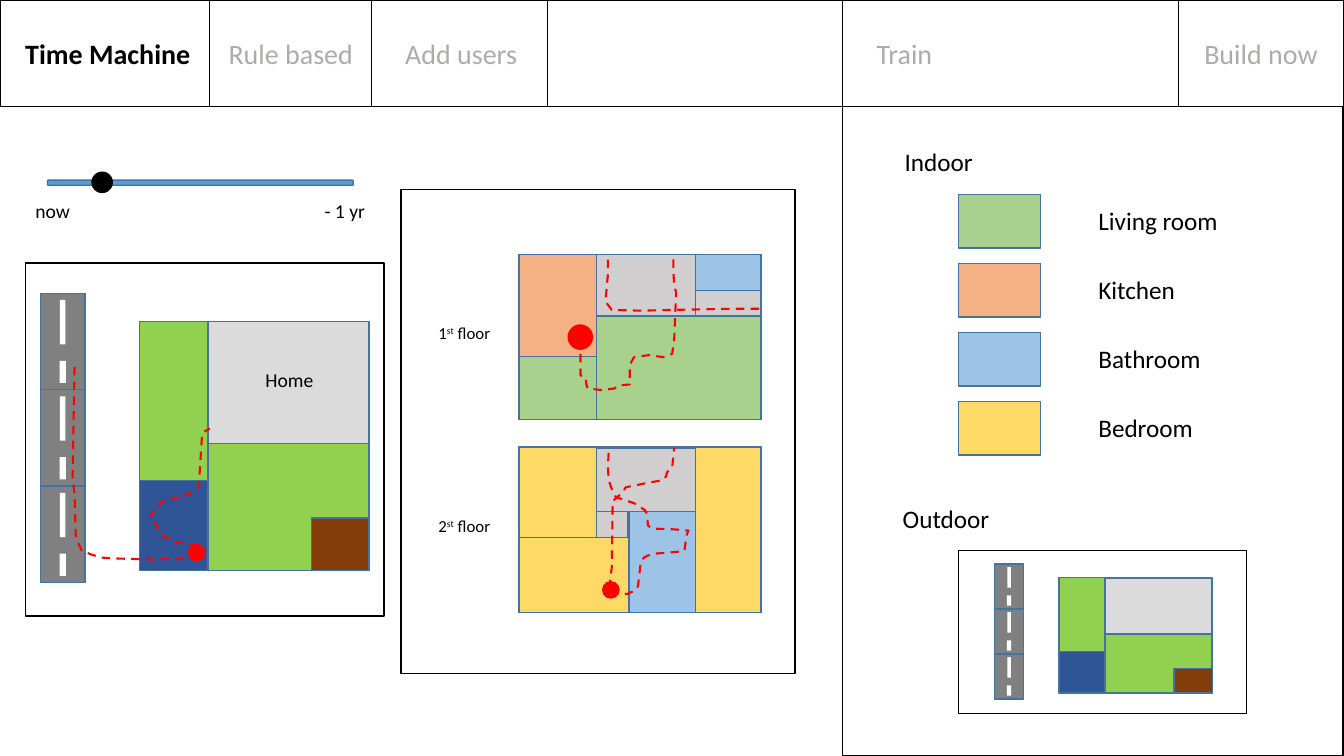
from dataclasses import dataclass

from lxml import etree
from pptx import Presentation
from pptx import util as u
from pptx.dml.color import RGBColor
from pptx.enum import dml, shapes, text
from pptx.oxml import ns

BLACK, GREY, RED, EDGE = "000000", "AFABAB", "FF0000", "43739E"
KITCHEN, LIVING, BATH, BED, HALL = "F4B183", "A9D18E", "9DC3E6", "FFD966", "D0CECE"
RECT = shapes.MSO_SHAPE.RECTANGLE
OVAL = shapes.MSO_SHAPE.OVAL
LABEL_FRAME = {"word_wrap": False, "auto_size": text.MSO_AUTO_SIZE.SHAPE_TO_FIT_TEXT,
               "vertical_anchor": text.MSO_ANCHOR.TOP}

TABS = [("Rule based", 5.51, 3.68), ("Add users", 9.96, 3.35),
        ("Train", 21.84, 1.98), ("Build now", 30.1, 3.4)]
TAB_EDGES = [5.28, 9.37, 13.79, 21.23, 29.69]
LEGEND = [("Living room", LIVING, 3.56), ("Kitchen", KITCHEN, 2.46),
          ("Bathroom", BATH, 3.12), ("Bedroom", BED, 2.92)]

FIRST_ROOMS = [(KITCHEN, 0, 0, 1.98, 2.57), (LIVING, 0, 2.57, 1.98, 1.6),
               (LIVING, 1.96, 1.55, 4.14, 2.62), (BATH, 4.45, 0, 1.65, 0.94),
               (HALL, 1.96, 0, 2.49, 1.55), (HALL, 4.45, 0.91, 1.65, 0.64)]
SECOND_ROOMS = [(HALL, 1.96, 0.03, 2.49, 1.63), (HALL, 1.93, 1.63, 0.81, 0.69),
                (BATH, 2.77, 1.63, 1.68, 2.54), (BED, 0, 0, 1.96, 2.31),
                (BED, 4.45, 0, 1.65, 4.17), (BED, 0, 2.29, 2.77, 1.88)]

OUTDOOR_WALK = [
    (1.24, 2.62), (1.19, 5.41), (1.24, 5.82), (1.27, 6.88), (1.3, 6.99), (1.42, 7.24),
    (1.65, 7.34), (1.91, 7.42), (2.16, 7.44), (3.23, 7.47), (4.29, 7.42), (4.27, 7.14),
    (4.17, 7.09), (3.81, 7.04), (3.48, 6.88), (3.38, 6.78), (3.33, 6.68), (3.28, 6.55),
    (3.18, 6.5), (3.15, 6.38), (3.38, 6.07), (3.48, 5.99), (3.71, 5.92), (3.96, 5.92),
    (4.06, 5.82), (4.17, 5.79), (4.37, 5.64), (4.45, 4.37), (4.47, 4.27), (4.65, 4.17)]
HALL_WALK = [
    (6.05, 1.37), (5.44, 1.37), (3.86, 1.4), (3.07, 1.42), (2.34, 1.4), (2.18, 1.19),
    (2.24, 0.5), (2.24, 0.03)]
LIVING_WALK = [
    (3.89, 0.13), (3.89, 0.43), (3.91, 0.76), (3.96, 0.97), (3.91, 2.18), (3.89, 2.29),
    (3.86, 2.51), (3.63, 2.59), (3.28, 2.54), (2.9, 2.59), (2.79, 2.79), (2.79, 3.28),
    (2.51, 3.3), (2.41, 3.38), (2.08, 3.42), (1.73, 3.38), (1.7, 3.28), (1.68, 3.1),
    (1.55, 3.05), (1.55, 2.41)]
UPSTAIRS_WALK = [
    (2.26, 0.15), (2.24, 0.48), (2.26, 0.84), (2.34, 1.07), (2.44, 1.27), (2.54, 1.3),
    (2.9, 1.42), (3.18, 1.6), (3.23, 1.7), (3.25, 1.98), (3.35, 2.06), (3.91, 2.08),
    (4.27, 2.11), (4.22, 2.24), (4.17, 2.62), (4.06, 2.64), (3.45, 2.69), (3.25, 2.74),
    (3.15, 2.79), (3.07, 2.9), (3.0, 3.51), (2.95, 3.61), (2.72, 3.71), (2.26, 3.68),
    (2.34, 3.02), (2.36, 1.37), (2.62, 1.14), (2.69, 1.02), (3.23, 0.91), (3.63, 0.84),
    (3.71, 0.74), (3.73, 0.64), (3.86, 0.53), (3.91, 0.03)]


@dataclass(frozen=True)
class Box:
    left: float
    top: float
    width: float
    height: float

    def inside(self, left, top, width, height):
        return Box(self.left + left, self.top + top, width, height)

    def portion(self, left, top, width, height):
        return self.inside(left * self.width, top * self.height,
                           width * self.width, height * self.height)

    def lengths(self):
        return [u.Cm(v) for v in (self.left, self.top, self.width, self.height)]


def apply(target, values):
    for key, value in values.items():
        setattr(target, key, value)


def paint(fill, colour):
    if colour is None:
        fill.background()
    else:
        fill.solid()
        fill.fore_color.rgb = RGBColor.from_string(colour)


def block(slide, box, fill=None, edge=EDGE, kind=RECT):
    part = slide.shapes.add_shape(kind, *box.lengths())
    part.shadow.inherit = False
    paint(part.fill, fill)
    paint(part.line.fill, edge)
    if edge:
        part.line.width = u.Pt(1)
    return part


def write(frame, runs, size, colour=BLACK, bold=False, align=text.PP_ALIGN.LEFT):
    apply(frame, LABEL_FRAME)
    line = frame.paragraphs[0]
    line.alignment = align
    for words, raised in runs:
        run = line.add_run()
        run.text = words
        apply(run.font, {"name": "Calibri", "size": u.Pt(size), "bold": bold})
        paint(run.font.fill, colour)
        if raised:
            run.font._element.set("baseline", "30000")


def label(slide, box, words, size, **style):
    runs = [(words, False)] if isinstance(words, str) else words
    write(slide.shapes.add_textbox(*box.lengths()).text_frame, runs, size, **style)


def walk(slide, box, points):
    start, *rest = [(u.Cm(box.left + x), u.Cm(box.top + y)) for x, y in points]
    builder = slide.shapes.build_freeform(*start)
    builder.add_line_segments(rest, close=False)
    trail = builder.convert_to_shape()
    trail.shadow.inherit = False
    paint(trail.fill, None)
    paint(trail.line.fill, RED)
    apply(trail.line, {"width": u.Pt(1.5), "dash_style": dml.MSO_LINE.DASH})


def navigation(slide, box):
    block(slide, box, edge=BLACK)
    for x in TAB_EDGES:
        edge = slide.shapes.add_connector(
            shapes.MSO_CONNECTOR.STRAIGHT, u.Cm(box.left + x), u.Cm(box.top),
            u.Cm(box.left + x), u.Cm(box.top + box.height))
        paint(edge.line.fill, BLACK)
        edge.line.width = u.Pt(0.5)
        etree.SubElement(edge._element.spPr, ns.qn("a:effectLst"))
    active = slide.shapes.title
    place = box.inside(0.38, 0.79, 4.72, 1.12).lengths()
    apply(active, dict(zip(("left", "top", "width", "height"), place)))
    write(active.text_frame, [("Time Machine", False)], 20, bold=True)
    for words, x, width in TABS:
        label(slide, box.inside(x, 0.79, width, 1.12), words, 20, colour=GREY)


def time_slider(slide, box):
    block(slide, box.inside(0.56, 0.2, 7.7, 0.13), "5B9BD5",
          kind=shapes.MSO_SHAPE.ROUNDED_RECTANGLE)
    block(slide, box.inside(1.68, 0, 0.51, 0.51), BLACK, BLACK, OVAL)
    label(slide, box.inside(0, 0.56, 1.4, 0.86), "now", 14)
    label(slide, box.inside(7.29, 0.56, 1.55, 0.86), "- 1 yr", 14)


def road(slide, box):
    for i in range(3):
        stretch = box.portion(0, i / 3, 1, 1 / 3)
        block(slide, stretch, "808080")
        block(slide, stretch.portion(0.44, 0.07, 0.12, 0.46), "FFFFFF", None)
        block(slide, stretch.portion(0.43, 0.7, 0.14, 0.23), "FFFFFF", None)


def yard(slide, box):
    for colour, *place in [("DBDBDB", 0.3, 0, 0.7, 0.49), ("92D050", 0.3, 0.49, 0.7, 0.51),
                           ("92D050", 0, 0, 0.3, 1), ("843C0B", 0.75, 0.79, 0.25, 0.21),
                           ("2F5597", 0, 0.64, 0.3, 0.36)]:
        block(slide, box.portion(*place), colour)


def outdoor_plan(slide, box):
    block(slide, box, edge=BLACK)
    road(slide, box.inside(0.38, 0.76, 1.12, 7.29))
    yard(slide, box.inside(2.87, 1.47, 5.79, 6.27))
    label(slide, box.inside(5.79, 2.51, 1.73, 0.86), "Home", 14, align=text.PP_ALIGN.CENTER)
    walk(slide, box, OUTDOOR_WALK)
    block(slide, box.inside(4.11, 7.09, 0.41, 0.41), RED, RED, OVAL)


def floor(slide, box, number, rooms, walks, person):
    block(slide, box, "DBDBDB")
    label(slide, box.inside(-2.28, 1.6, 1.85, 0.81),
          [(number, False), ("st", True), (" floor", False)], 12)
    for colour, *place in rooms:
        block(slide, box.inside(*place), colour)
    for points in walks:
        walk(slide, box, points)
    block(slide, box.inside(*person), RED, RED, OVAL)


def indoor_plan(slide, box):
    block(slide, box, edge=BLACK)
    floor(slide, box.inside(2.97, 1.63, 6.1, 4.17), "1", FIRST_ROOMS,
          [HALL_WALK, LIVING_WALK], (1.24, 1.78, 0.61, 0.61))
    floor(slide, box.inside(2.97, 6.48, 6.1, 4.17), "2", SECOND_ROOMS,
          [UPSTAIRS_WALK], (2.11, 3.4, 0.41, 0.41))


def legend(slide, box):
    block(slide, box, edge=BLACK)
    label(slide, box.inside(1.32, 0.86, 2.26, 1.02), "Indoor", 18)
    for i, (room, colour, width) in enumerate(LEGEND):
        top = 2.21 + 1.74 * i
        block(slide, box.inside(2.92, top, 2.08, 1.35), colour)
        label(slide, box.inside(6.2, top + 0.14, width, 1.02), room, 18)
    label(slide, box.inside(1.27, 9.88, 2.72, 1.02), "Outdoor", 18)
    outdoor = box.inside(2.92, 11.18, 7.26, 4.11)
    block(slide, outdoor, edge=BLACK)
    road(slide, outdoor.inside(0.91, 0.34, 0.74, 3.4))
    yard(slide, outdoor.inside(2.54, 0.69, 3.86, 2.9))


def main():
    deck = Presentation()
    apply(deck, {"slide_width": u.Cm(33.87), "slide_height": u.Cm(19.05)})
    slide = deck.slides.add_slide(deck.slide_layouts[5])
    legend(slide, Box(21.23, 2.69, 12.62, 16.36))
    navigation(slide, Box(0, 0, 33.87, 2.69))
    indoor_plan(slide, Box(10.11, 4.78, 9.93, 12.19))
    outdoor_plan(slide, Box(0.64, 6.63, 9.04, 8.89))
    time_slider(slide, Box(0.64, 4.34, 8.84, 1.42))
    deck.save("out.pptx")


if __name__ == "__main__":
    main()
